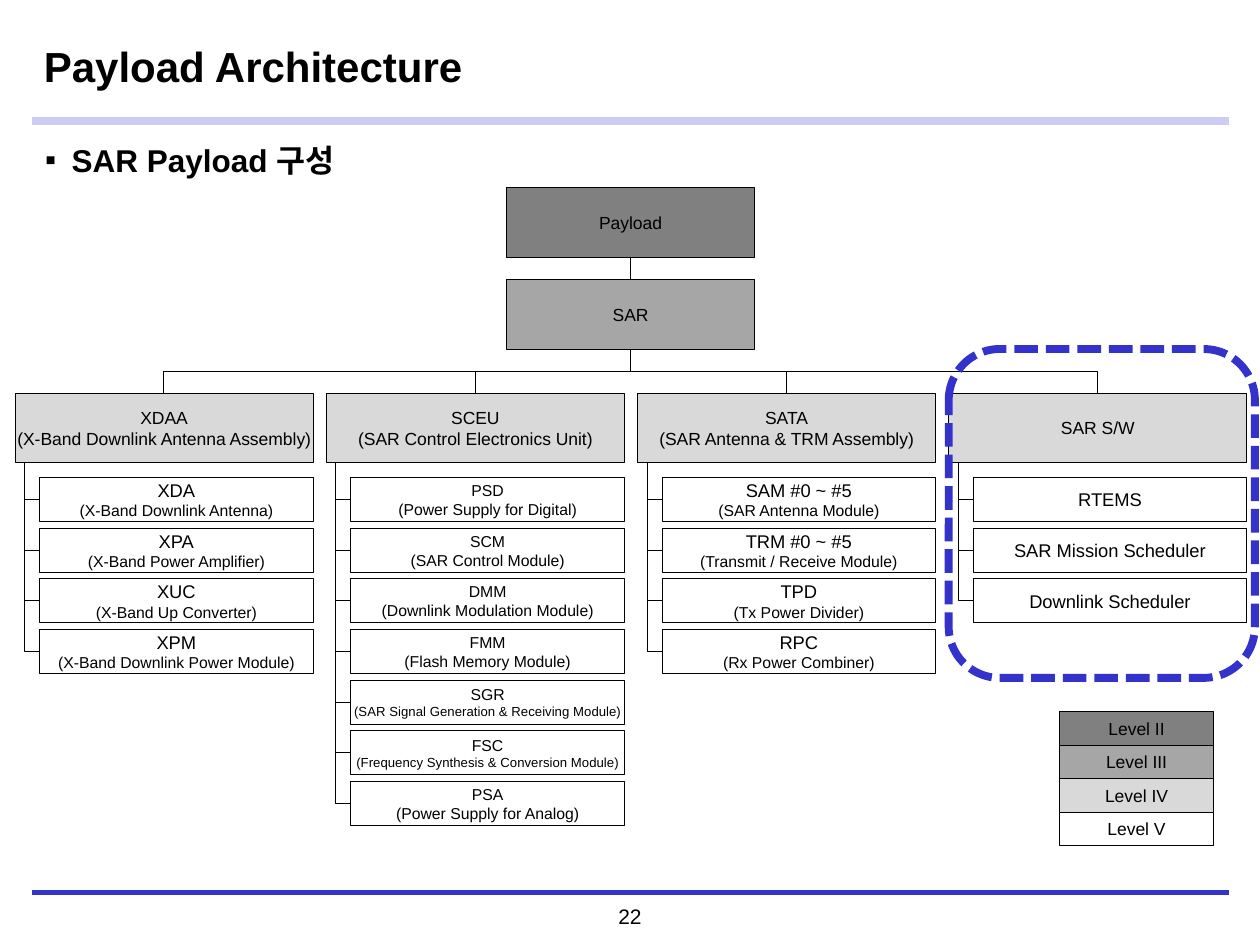
from lxml import etree
from pptx import Presentation
from pptx.dml.color import RGBColor
from pptx.enum.dml import MSO_LINE
from pptx.enum.shapes import MSO_CONNECTOR, MSO_SHAPE
from pptx.enum.text import MSO_ANCHOR, PP_ALIGN
from pptx.oxml.ns import qn
from pptx.util import Inches, Pt

RECT, ROUNDED = MSO_SHAPE.RECTANGLE, MSO_SHAPE.ROUNDED_RECTANGLE
STRAIGHT, ELBOW = MSO_CONNECTOR.STRAIGHT, MSO_CONNECTOR.ELBOW
LEFT, CENTER = PP_ALIGN.LEFT, PP_ALIGN.CENTER
TOP, MIDDLE = MSO_ANCHOR.TOP, MSO_ANCHOR.MIDDLE
DASH = MSO_LINE.SQUARE_DOT

COLORS = {
    "text": "000000",
    "level2": "808080",
    "level3": "A6A6A6",
    "level4": "D9D9D9",
    "level5": "FFFFFF",
    "accent": "3333CC",
    "rule": "CCCCF5",
}

COLUMNS, ROWS = 100, 75
DEGREE = 60000

BRANCHES = [
    (["XDAA", "(X-Band Downlink Antenna Assembly)"], 10.5, [
        ["XDA", "(X-Band Downlink Antenna)"],
        ["XPA", "(X-Band Power Amplifier)"],
        ["XUC", "(X-Band Up Converter)"],
        ["XPM", "(X-Band Downlink Power Module)"],
    ]),
    (["SCEU", "(SAR Control Electronics Unit)"], 9, [
        ["PSD", "(Power Supply for Digital)"],
        ["SCM", "(SAR Control Module)"],
        ["DMM", "(Downlink Modulation Module)"],
        ["FMM", "(Flash Memory Module)"],
        ["SGR", "(SAR Signal Generation & Receiving Module)"],
        ["FSC", "(Frequency Synthesis & Conversion Module)"],
        ["PSA", "(Power Supply for Analog)"],
    ]),
    (["SATA", "(SAR Antenna & TRM Assembly)"], 10.5, [
        ["SAM #0 ~ #5", "(SAR Antenna Module)"],
        ["TRM #0 ~ #5", "(Transmit / Receive Module)"],
        ["TPD", "(Tx Power Divider)"],
        ["RPC", "(Rx Power Combiner)"],
    ]),
    (["SAR S/W"], 10.5, [
        ["RTEMS"],
        ["SAR Mission Scheduler"],
        ["Downlink Scheduler"],
    ]),
]
LEGEND = [("Level II", "level2"), ("Level III", "level3"),
          ("Level IV", "level4"), ("Level V", "level5")]


class Deck:
    font = "Arial"
    thin = 0.5

    def __init__(self):
        self.prs = Presentation()
        self.prs.slide_width, self.prs.slide_height = Inches(10), Inches(7.5)
        self.slide = self.prs.slides.add_slide(self.prs.slide_layouts[6])

    def x(self, columns):
        return round(self.prs.slide_width * columns / COLUMNS)

    def y(self, rows):
        return round(self.prs.slide_height * rows / ROWS)

    def place(self, left, top, width, height):
        return self.x(left), self.y(top), self.x(width), self.y(height)

    def color(self, name):
        return RGBColor.from_string(COLORS[name])

    def fill_text(self, frame, lines, sizes, align=CENTER, bold=False):
        frame.text = "\n".join(lines)
        for paragraph, size in zip(frame.paragraphs, sizes):
            paragraph.alignment = align
            for run in paragraph.runs:
                run.font.name = self.font
                run.font.size = Pt(size)
                run.font.bold = bold
                run.font.color.rgb = self.color("text")

    def text(self, area, line, size, align=LEFT, anchor=TOP, bold=False):
        frame = self.slide.shapes.add_textbox(*self.place(*area)).text_frame
        frame.word_wrap = True
        frame.vertical_anchor = anchor
        self.fill_text(frame, [line], [size], align, bold)
        return frame.paragraphs[0]

    def bullet(self, area, line, size):
        properties = self.text(area, line, size, bold=True)._p.get_or_add_pPr()
        indent = self.x(2.1)
        properties.set("marL", str(indent))
        properties.set("indent", str(-indent))
        etree.SubElement(properties, qn("a:buFont")).set("typeface", self.font)
        etree.SubElement(properties, qn("a:buChar")).set("char", "▪")

    def box(self, area, lines, sizes, fill, inset=(1, 0.5)):
        shape = self.slide.shapes.add_shape(RECT, *self.place(*area))
        shape.shadow.inherit = False
        shape.fill.solid()
        shape.fill.fore_color.rgb = self.color(fill)
        shape.line.color.rgb = self.color("text")
        shape.line.width = Pt(self.thin)
        frame = shape.text_frame
        frame.word_wrap = False
        frame.vertical_anchor = MIDDLE
        frame.margin_left = frame.margin_right = self.x(inset[0])
        frame.margin_top = frame.margin_bottom = self.y(inset[1])
        self.fill_text(frame, lines, sizes)

    def highlight(self, area):
        shape = self.slide.shapes.add_shape(ROUNDED, *self.place(*area))
        shape.shadow.inherit = False
        shape.fill.background()
        shape.line.color.rgb = self.color("accent")
        shape.line.width = Pt(4.5)
        shape.line.dash_style = DASH

    def line(self, start, end, color="text", width=thin, kind=STRAIGHT):
        connector = self.slide.shapes.add_connector(
            kind, self.x(start[0]), self.y(start[1]), self.x(end[0]), self.y(end[1]))
        connector.line.color.rgb = self.color(color)
        connector.line.width = Pt(width)
        properties = connector._element.spPr
        etree.SubElement(properties, qn("a:effectLst"))
        return properties

    def fork(self, start, end):
        middle_x, middle_y = (start[0] + end[0]) / 2, (start[1] + end[1]) / 2
        across, down = abs(end[0] - start[0]) / 2, (end[1] - start[1]) / 2
        rightward = end[0] > start[0]
        reach = -down if rightward else down
        properties = self.line((middle_x - reach, middle_y - across),
                               (middle_x + reach, middle_y + across), kind=ELBOW)
        properties.find(qn("a:xfrm")).set("rot", str((270 if rightward else 90) * DEGREE))

    def hook(self, trunk, unit):
        properties = self.line(trunk, unit, kind=ELBOW)
        properties.find(qn("a:prstGeom")).set("prst", "bentConnector2")
        properties.find(qn("a:xfrm")).set("rot", str(180 * DEGREE))


def main():
    deck = Deck()
    for rule_y in (70.8, 70.9):
        deck.line((2.5, rule_y), (97.5, rule_y), "accent", 2)
    deck.line((2.5, 9.6), (97.5, 9.6), "rule", 4.5)
    deck.text((41.9, 71.2, 16.2, 3), "22", 12, CENTER, MIDDLE)
    deck.text((2.5, 1.4, 76.4, 7.7), "Payload Architecture", 24, anchor=MIDDLE, bold=True)
    deck.bullet((2.6, 10.7, 94.8, 57.4), "SAR Payload 구성", 18)

    deck.box((40.2, 14.9, 19.7, 5.5), ["Payload"], [10], "level2")
    deck.box((40.2, 22.2, 19.7, 5.5), ["SAR"], [10], "level3")
    deck.line((50, 20.4), (50, 22.2))

    for column, (assembly, name_size, units) in enumerate(BRANCHES):
        left = 1.2 + 24.7 * column
        deck.fork((50, 27.7), (left + 11.8, 31.2))
        for row, unit in enumerate(units):
            top = 37.9 + 4.02 * row
            caption_size = 7.5 if len(unit[-1]) > 35 else 9
            deck.hook((left + 0.75, 36.1), (left + 1.95, top + 1.75))
            deck.box((left + 1.95, top, 21.7, 3.5), unit,
                     [name_size, caption_size], "level5", inset=(0.7, 0.4))
        deck.box((left, 31.2, 23.65, 5.5), assembly, [10, 10], "level4")

    for row, (level, fill) in enumerate(LEGEND):
        deck.box((84.1, 56.5 + 2.65 * row, 12.2, 2.65), [level], [10], fill)
    deck.highlight((75.3, 27.7, 24.3, 26.1))

    deck.prs.save("out.pptx")


if __name__ == "__main__":
    main()
